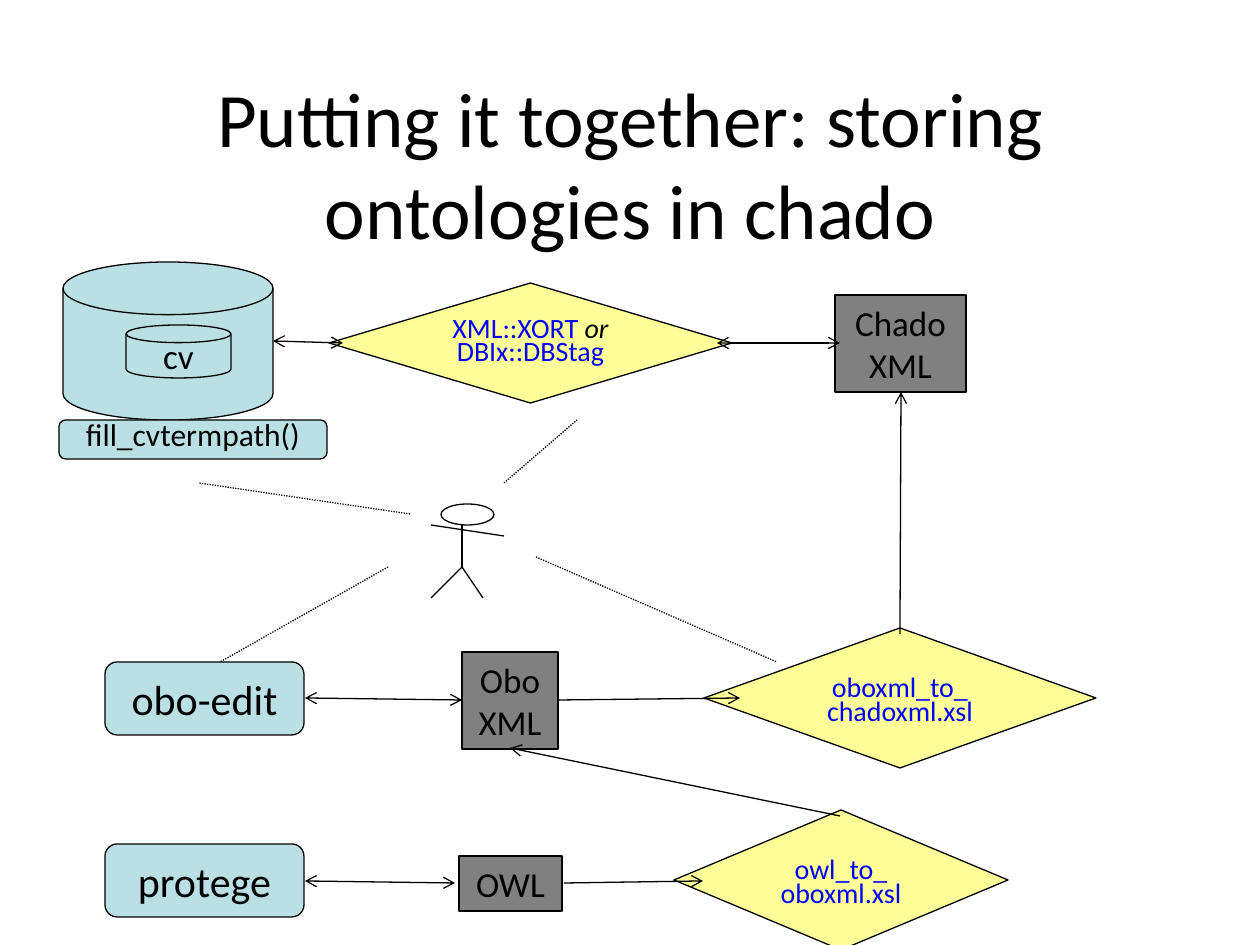
import pptx
import pptx.util
import pptx.dml.color
import pptx.enum.dml
import pptx.enum.shapes
import pptx.enum.text
import pptx.oxml.ns
import lxml.etree

COLORS = {"black": "000000", "teal": "BBE0E3", "gray": "808080", "yellow": "FFFF99", "blue": "0000FF"}
MSO = pptx.enum.shapes.MSO_SHAPE
ANCHOR = pptx.enum.text.MSO_ANCHOR
qn = pptx.oxml.ns.qn


def px(value):
    return pptx.util.Emu(round(value * 914400 / 126))


def format_text(tf, size, color, spacings):
    for p, spacing in zip(tf.paragraphs, spacings):
        p.alignment = pptx.enum.text.PP_ALIGN.CENTER
        if spacing != 1:
            p.line_spacing = spacing
        for r in p.runs:
            r.font.name = "Calibri"
            r.font.size = pptx.util.Pt(size)
            r.font.color.rgb = pptx.dml.color.RGBColor.from_string(COLORS[color])


prs = pptx.Presentation()
prs.slide_width, prs.slide_height = px(1260), px(945)
s = prs.slides.add_slide(prs.slide_layouts[6])

title = s.shapes.add_textbox(px(95), px(84), px(1071), px(158))
tf = title.text_frame
tf.word_wrap = True
tf.vertical_anchor = ANCHOR.MIDDLE
tf.text = "Putting it together: storing ontologies in chado"
format_text(tf, 44, "black", [1])

nodes = [
    (MSO.FLOWCHART_MAGNETIC_DISK, 63, 262, 210, 158, "teal", "", 20, [1]),
    (MSO.FLOWCHART_MAGNETIC_DISK, 126, 325, 105, 53, "teal", "cv", 20, [1]),
    (MSO.ROUNDED_RECTANGLE, 59, 420, 268, 39, "teal", "fill_cvtermpath()", 18, [0.6]),
    (MSO.ROUNDED_RECTANGLE, 105, 662, 199, 73, "teal", "obo-edit", 24, [1]),
    (MSO.ROUNDED_RECTANGLE, 105, 844, 199, 73, "teal", "protege", 24, [1]),
    (MSO.RECTANGLE, 835, 295, 131, 97, "gray", "Chado\nXML", 20, [1, 1]),
    (MSO.RECTANGLE, 462, 652, 96, 97, "gray", "Obo\nXML", 20, [1, 1]),
    (MSO.RECTANGLE, 459, 856, 103, 55, "gray", "OWL", 20, [1]),
    (MSO.DIAMOND, 329, 283, 403, 120, "yellow", "XML::XORT \nDBIx::DBStag", 16, [0.7, 0.7]),
    (MSO.DIAMOND, 704, 628, 392, 140, "yellow", "oboxml_to_\nchadoxml.xsl", 16, [1, 0.7]),
    (MSO.DIAMOND, 674, 810, 334, 140, "yellow", "owl_to_\noboxml.xsl", 16, [1, 0.7]),
    (MSO.OVAL, 441, 504, 53, 21, None, "", 20, [1]),
]
for kind, x, y, w, h, fill, text, size, spacings in nodes:
    sp = s.shapes.add_shape(kind, px(x), px(y), px(w), px(h))
    sp.shadow.inherit = False
    if fill:
        sp.fill.solid()
        sp.fill.fore_color.rgb = pptx.dml.color.RGBColor.from_string(COLORS[fill])
    else:
        sp.fill.background()
    sp.line.color.rgb = pptx.dml.color.RGBColor.from_string(COLORS["black"])
    sp.line.width = pptx.util.Pt(0.75)
    if not text:
        continue
    tf = sp.text_frame
    tf.word_wrap = False
    tf.vertical_anchor = ANCHOR.MIDDLE
    tf.text = text
    format_text(tf, size, "blue" if fill == "yellow" else "black", spacings)
    if text.startswith("XML::XORT"):
        r = tf.paragraphs[0].add_run()
        r.text = "or"
        r.font.name = "Calibri"
        r.font.size = pptx.util.Pt(size)
        r.font.italic = True
        r.font.color.rgb = pptx.dml.color.RGBColor.from_string(COLORS["black"])

BOTH = ("headEnd", "tailEnd")
END = ("tailEnd",)
links = [
    (273, 341, 343, 343, BOTH, False),
    (717, 343, 840, 343, BOTH, False),
    (900, 634, 901, 392, END, False),
    (558, 700, 740, 698, END, False),
    (305, 698, 462, 700, BOTH, False),
    (564, 883, 703, 881, END, False),
    (305, 881, 455, 883, BOTH, False),
    (840, 816, 510, 748, END, False),
    (462, 525, 462, 567, (), False),
    (462, 567, 431, 598, (), False),
    (462, 567, 483, 598, (), False),
    (431, 525, 504, 536, (), False),
    (388, 567, 220, 662, (), True),
    (536, 557, 777, 662, (), True),
    (504, 483, 577, 420, (), True),
    (410, 514, 199, 483, (), True),
]
for x1, y1, x2, y2, arrows, dotted in links:
    line = s.shapes.add_connector(pptx.enum.shapes.MSO_CONNECTOR.STRAIGHT, px(x1), px(y1), px(x2), px(y2))
    line.line.color.rgb = pptx.dml.color.RGBColor.from_string(COLORS["black"])
    line.line.width = pptx.util.Pt(0.75)
    if dotted:
        line.line.dash_style = pptx.enum.dml.MSO_LINE.ROUND_DOT
    ln = line.line._get_or_add_ln()
    for arrow in arrows:
        lxml.etree.SubElement(ln, qn("a:" + arrow), type="arrow")
    lxml.etree.SubElement(line._element.spPr, qn("a:effectLst"))

prs.save("out.pptx")
